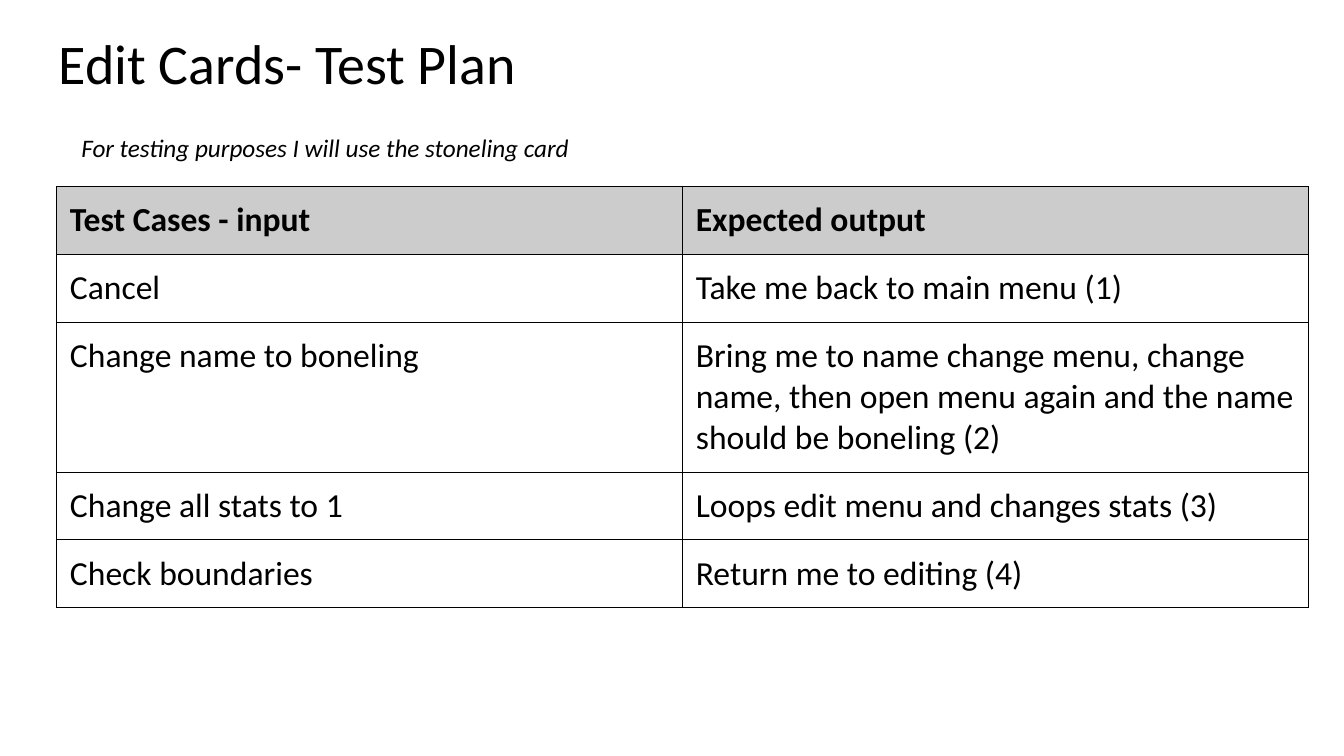
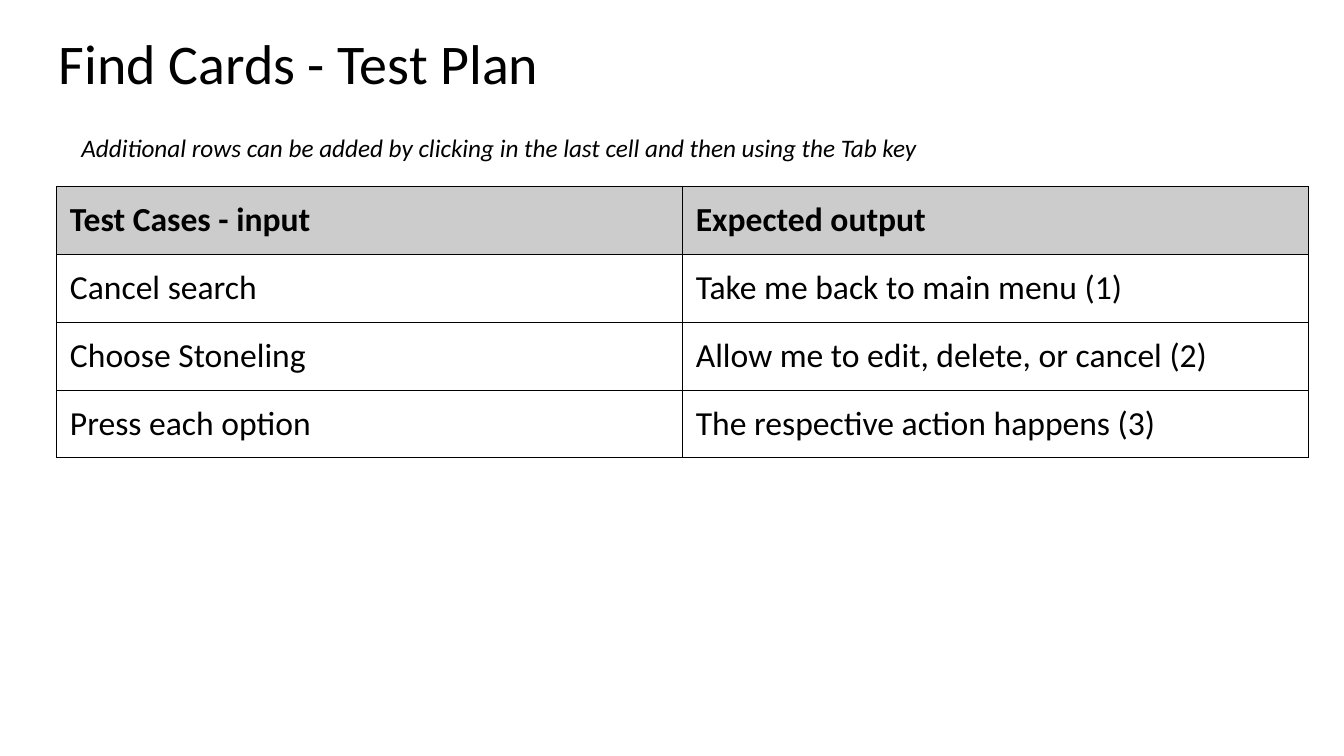
from pptx import Presentation
from pptx.dml.color import RGBColor
from pptx.enum import text
from pptx.oxml import parse_xml
from pptx.oxml.ns import nsdecls
from pptx.util import Pt

# Shared look
COLORS = {"ink": "000000", "header": "CCCCCC"}
FONT = "Calibri"
PAGE_SIZE = (960, 540)
TITLE_BOX = (32.4, 17.3, 894, 60.5)
NOTE_BOX = (51, 90.7, 788, 29)
TABLE_BOX = (40.4, 133.2, 894.2)
ROW_HEIGHT = 48
INSET = 9.6
BORDER = 0.75
TITLE_ONLY = 5

HEADINGS = ("Test Cases - input", "Expected output")
PLANS = [
    {
        "title": "Edit Cards- Test Plan",
        "note": "For testing purposes I will use the stoneling card",
        "cases": [
            ("Cancel", "Take me back to main menu (1)"),
            ("Change name to boneling",
             "Bring me to name change menu, change name, then open menu again "
             "and the name should be boneling (2)"),
            ("Change all stats to 1", "Loops edit menu and changes stats (3)"),
            ("Check boundaries", "Return me to editing (4)"),
        ],
    },
    {
        "title": "Find Cards - Test Plan",
        "note": "Additional rows can be added by clicking in the last cell "
                "and then using the Tab key",
        "cases": [
            ("Cancel search", "Take me back to main menu (1)"),
            ("Choose Stoneling", "Allow me to edit, delete, or cancel (2)"),
            ("Press each option", "The respective action happens (3)"),
        ],
    },
]


def write(frame, words, size, bold=False, italic=False, spacing=None):
    """Put one formatted, left-aligned paragraph in a text frame."""
    frame.word_wrap = True
    para = frame.paragraphs[0]
    para.alignment = text.PP_ALIGN.LEFT
    if spacing:
        para.line_spacing = spacing
    span = para.add_run()
    span.text = words
    span.font.name = FONT
    span.font.size = Pt(size)
    span.font.bold = bold
    span.font.italic = italic
    span.font.color.rgb = RGBColor.from_string(COLORS["ink"])


def set_insets(target):
    """Give a cell or text frame the same margin on every side."""
    for side in ("left", "right", "top", "bottom"):
        setattr(target, f"margin_{side}", Pt(INSET))


def add_borders(cell):
    properties = cell._tc.get_or_add_tcPr()
    for edge in ("lnL", "lnR", "lnT", "lnB"):
        properties.append(parse_xml(
            f'<a:{edge} {nsdecls("a")} w="{Pt(BORDER)}"><a:solidFill>'
            f'<a:srgbClr val="{COLORS["ink"]}"/></a:solidFill></a:{edge}>'))


def place_title(page, words, box):
    title = page.shapes.title
    title.left, title.top, title.width, title.height = map(Pt, box)
    frame = title.text_frame
    frame.auto_size = text.MSO_AUTO_SIZE.NONE
    frame.vertical_anchor = text.MSO_ANCHOR.MIDDLE
    set_insets(frame)
    write(frame, words, 40, spacing=0.9)


def place_note(page, words, box):
    note = page.shapes.add_textbox(*map(Pt, box))
    write(note.text_frame, words, 18, italic=True)
    note.text_frame.auto_size = text.MSO_AUTO_SIZE.SHAPE_TO_FIT_TEXT


def place_table(page, cases, box):
    left, top, width = box
    rows = [HEADINGS, *cases]
    table = page.shapes.add_table(
        len(rows), len(HEADINGS), Pt(left), Pt(top), Pt(width),
        Pt(ROW_HEIGHT * len(rows))).table
    table.horz_banding = False
    for row_index, row in enumerate(rows):
        is_header = row_index == 0
        for column_index, words in enumerate(row):
            cell = table.cell(row_index, column_index)
            set_insets(cell)
            add_borders(cell)
            if is_header:
                cell.fill.solid()
                cell.fill.fore_color.rgb = RGBColor.from_string(COLORS["header"])
            else:
                cell.fill.background()
            write(cell.text_frame, words, 24, bold=is_header)


def build_plan(deck, plan):
    """Add one test plan slide: title, table and note."""
    page = deck.slides.add_slide(deck.slide_layouts[TITLE_ONLY])
    place_title(page, plan["title"], TITLE_BOX)
    place_table(page, plan["cases"], TABLE_BOX)
    place_note(page, plan["note"], NOTE_BOX)


def main():
    deck = Presentation()
    deck.slide_width, deck.slide_height = map(Pt, PAGE_SIZE)
    for plan in PLANS:
        build_plan(deck, plan)
    deck.save("out.pptx")


if __name__ == "__main__":
    main()
